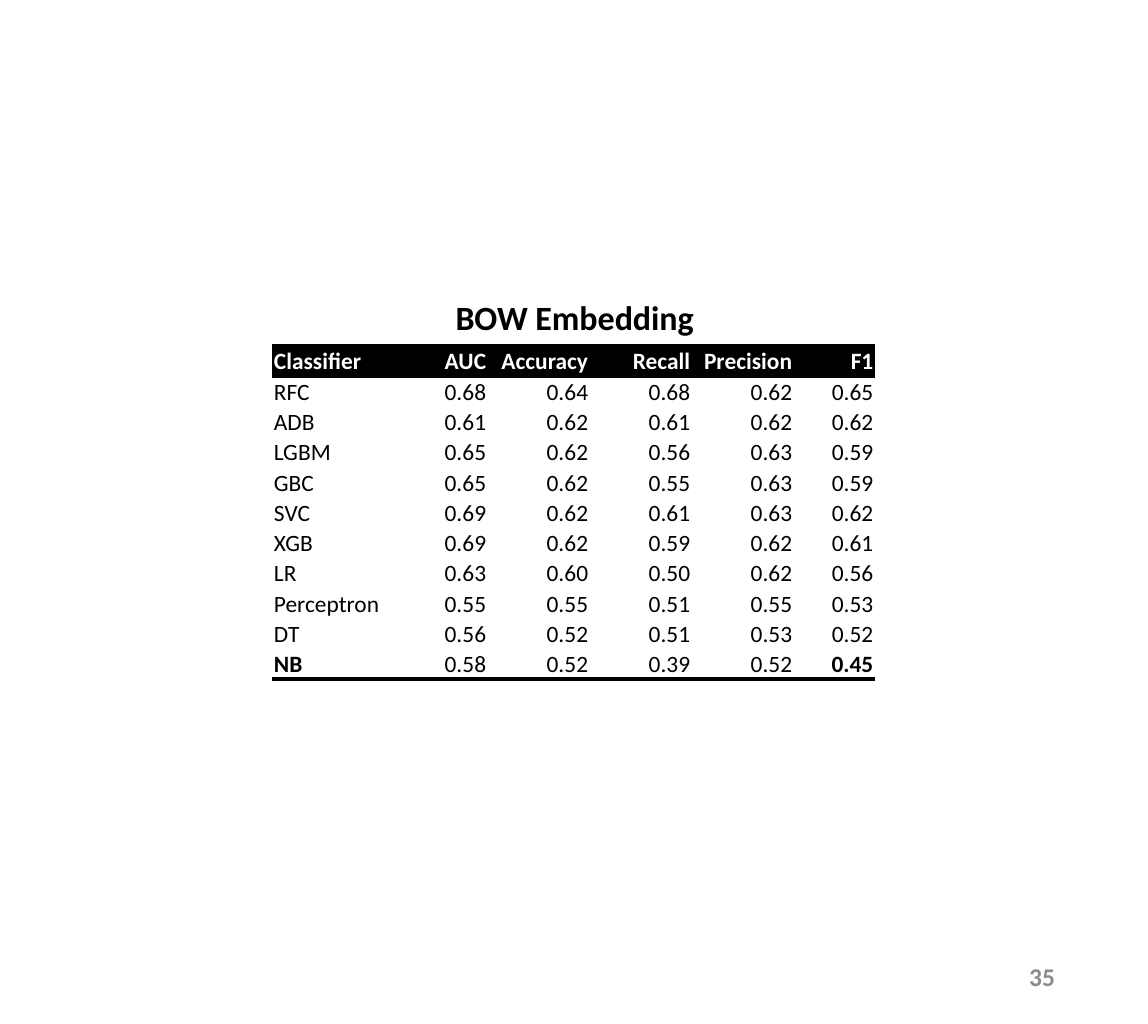
from lxml import etree
from pptx import Presentation
from pptx.dml.color import RGBColor
from pptx.enum.text import MSO_ANCHOR, PP_ALIGN
from pptx.oxml.ns import qn
from pptx.util import Inches, Pt

LEFT, CENTER, RIGHT = PP_ALIGN.LEFT, PP_ALIGN.CENTER, PP_ALIGN.RIGHT
TOP, MIDDLE, BOTTOM = MSO_ANCHOR.TOP, MSO_ANCHOR.MIDDLE, MSO_ANCHOR.BOTTOM
COLORS = {"ink": "000000", "paper": "FFFFFF", "page_number": "8C8C8C"}
FONT = "Calibri"
PLAIN_TABLE_STYLE = "{2D5ABB26-0587-4C30-8999-92F81FD0307C}"
CELL_FORMAT = {
    "vertical_anchor": BOTTOM,
    "margin_left": Inches(0.01),
    "margin_right": Inches(0.01),
    "margin_top": Inches(0.01),
    "margin_bottom": 0,
}

HEADINGS = ["Classifier", "AUC", "Accuracy", "Recall", "Precision", "F1"]
SCORES = [
    ["RFC", 0.68, 0.64, 0.68, 0.62, 0.65],
    ["ADB", 0.61, 0.62, 0.61, 0.62, 0.62],
    ["LGBM", 0.65, 0.62, 0.56, 0.63, 0.59],
    ["GBC", 0.65, 0.62, 0.55, 0.63, 0.59],
    ["SVC", 0.69, 0.62, 0.61, 0.63, 0.62],
    ["XGB", 0.69, 0.62, 0.59, 0.62, 0.61],
    ["LR", 0.63, 0.60, 0.50, 0.62, 0.56],
    ["Perceptron", 0.55, 0.55, 0.51, 0.55, 0.53],
    ["DT", 0.56, 0.52, 0.51, 0.53, 0.52],
    ["NB", 0.58, 0.52, 0.39, 0.52, 0.45],
]
BOLD_SCORES = {("NB", "Classifier"), ("NB", "F1")}
COLUMN_WIDTHS = [Inches(0.74)] + [Inches(2) // 3] * 4 + [Inches(0.53)]
TABLE_HEIGHT = Inches(2.18)


def set_format(target, values):
    for name, value in values.items():
        setattr(target, name, value)


def write_text(frame, text, size, color, align, bold):
    para = frame.paragraphs[0]
    para.alignment = align
    span = para.add_run()
    span.text = text
    set_format(span.font, {"name": FONT, "size": Pt(size), "bold": bold})
    span.font.color.rgb = RGBColor.from_string(COLORS[color])


def add_text(page, text, left, top, width, height, size, color, align, anchor):
    box = page.shapes.add_textbox(
        Inches(left), Inches(top), Inches(width), Inches(height))
    set_format(box.text_frame, {"word_wrap": True, "vertical_anchor": anchor})
    write_text(box.text_frame, text, size, color, align, True)


def add_border(cell, side):
    """Draw a rule on one side of the cell; call before setting its fill."""
    properties = cell._tc.get_or_add_tcPr()
    line = etree.SubElement(properties, qn(f"a:ln{side}"), w=str(Pt(2)))
    fill = etree.SubElement(line, qn("a:solidFill"))
    etree.SubElement(fill, qn("a:srgbClr"), val=COLORS["ink"])


def fill_cell(cell, text, align, bold, color, background, borders):
    set_format(cell, CELL_FORMAT)
    for side in borders:
        add_border(cell, side)
    cell.fill.solid()
    cell.fill.fore_color.rgb = RGBColor.from_string(COLORS[background])
    write_text(cell.text_frame, text, 11, color, align, bold)


def add_score_table(page, left, top):
    row_count = len(SCORES) + 1
    frame = page.shapes.add_table(
        row_count, len(HEADINGS), Inches(left), Inches(top),
        sum(COLUMN_WIDTHS), TABLE_HEIGHT)
    table = frame.table
    set_format(table, {"first_row": False, "horz_banding": False})
    table._tbl.tblPr.find(qn("a:tableStyleId")).text = PLAIN_TABLE_STYLE
    for column, width in zip(table.columns, COLUMN_WIDTHS):
        column.width = width
    for row in table.rows:
        row.height = TABLE_HEIGHT // row_count

    for j, heading in enumerate(HEADINGS):
        align = RIGHT if j else LEFT
        fill_cell(table.cell(0, j), heading, align, True, "paper", "ink", "TB")
        for i, scores in enumerate(SCORES, start=1):
            text = f"{scores[j]:.2f}" if j else scores[j]
            bold = (scores[0], heading) in BOLD_SCORES
            borders = "B" if i == len(SCORES) else ""
            fill_cell(table.cell(i, j), text, align, bold, "ink", "paper", borders)


def main():
    deck = Presentation()
    deck.slide_width, deck.slide_height = Inches(7.5), Inches(6.69)
    page = deck.slides.add_slide(deck.slide_layouts[6])
    add_text(page, "BOW Embedding", 1.88, 1.89, 3.75, 0.37,
             16, "ink", CENTER, TOP)
    add_text(page, "35", 5.3, 6.2, 1.69, 0.36,
             12, "page_number", RIGHT, MIDDLE)
    add_score_table(page, 1.78, 2.26)
    deck.save("out.pptx")


if __name__ == "__main__":
    main()
